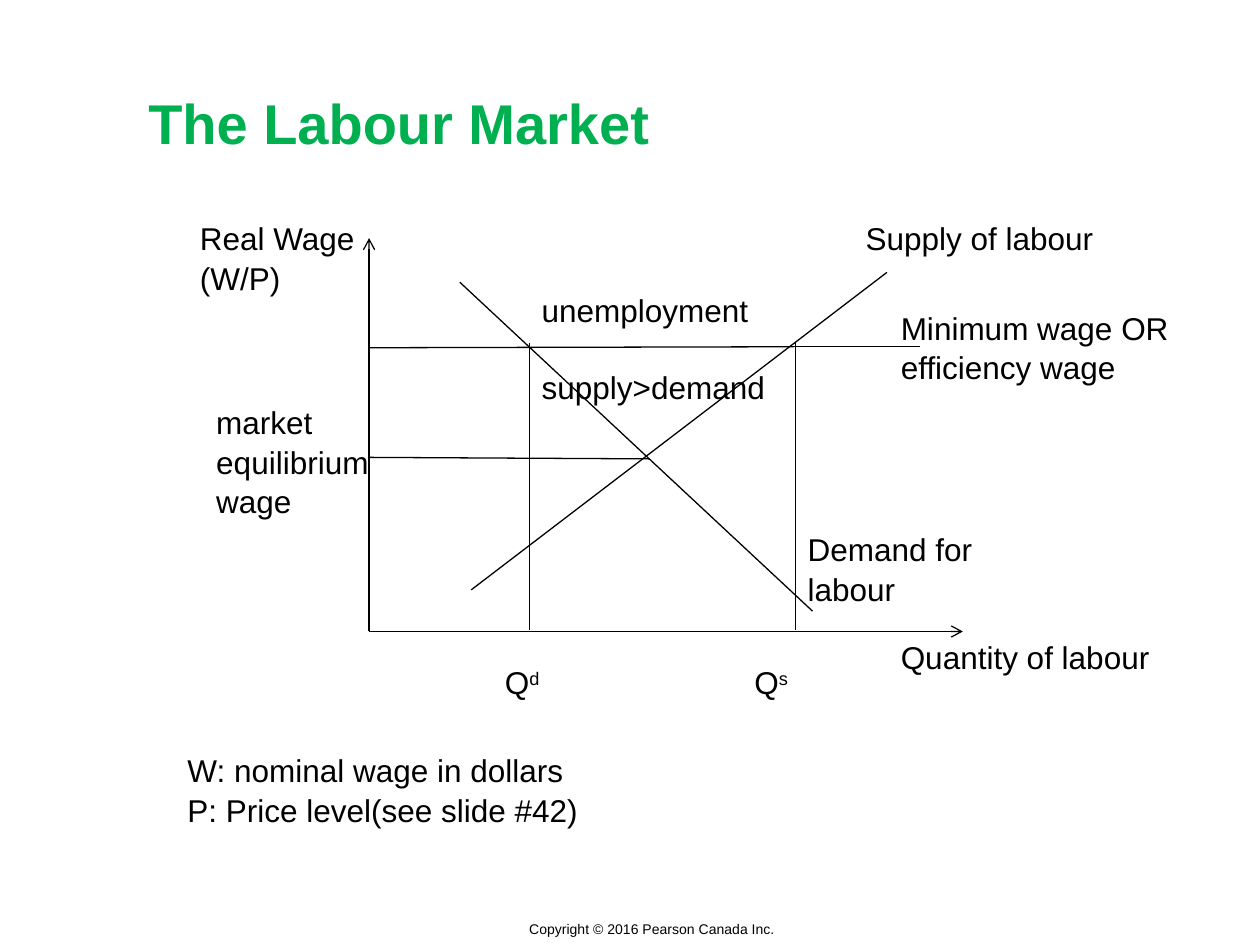
from pptx import Presentation
from pptx.util import Cm, Pt
from pptx.dml.color import RGBColor
from pptx.enum.shapes import MSO_CONNECTOR as Connector
from pptx.enum.text import MSO_ANCHOR as Anchor, PP_ALIGN as Align
from pptx.oxml.ns import qn
from lxml.etree import SubElement

COLORS = {"text": "000000", "title": "00B050", "line": "000000"}

# Text formats
BODY = {"size": Pt(18), "bold": False, "color": "text"}
TITLE = {"size": Pt(32), "bold": True, "color": "title"}
FOOTER = {"size": Pt(8), "bold": False, "color": "text"}

# Diagram coordinates in cm
AXIS_X, AXIS_Y = 7.44, 12.73
DEMAND_X, SUPPLY_X = 10.67, 16.03
WAGE_Y, MARKET_Y = 6.99, 9.22

# Labels: paragraphs, left, top, width, height; "^" starts a superscript
LABELS = [
    (["W: nominal wage in dollars", "P: Price level(see slide #42)"], 3.53, 14.99, 14.91, 1.78),
    (["Real Wage (W/P)"], 3.78, 4.27, 5.13, 1.78),
    (["market equilibrium wage"], 4.11, 7.98, 4.47, 2.54),
    (["unemployment", "supply>demand"], DEMAND_X, 5.72, 5.69, 2.54),
    (["Supply of labour"], 17.2, 4.27, 5.97, 1.02),
    (["Minimum wage OR efficiency wage"], 17.91, 6.07, 6.53, 1.78),
    (["Demand for labour"], SUPPLY_X, 10.54, 5.74, 1.78),
    (["Quantity of labour"], 17.91, 12.7, 6.1, 1.02),
    (["Q^d"], 9.93, 13.21, 2.13, 1.02),
    (["Q^s"], 14.96, 13.21, 2.13, 1.02),
]
PARAGRAPH_GAPS = {"supply>demand": Pt(21.6)}

# Lines: start x, start y, end x, end y, arrow at the end
LINES = [
    (AXIS_X, AXIS_Y, AXIS_X, 4.8, True),
    (AXIS_X, AXIS_Y, 19.41, AXIS_Y, True),
    (DEMAND_X, 12.7, DEMAND_X, 6.91, False),
    (SUPPLY_X, 12.7, SUPPLY_X, 6.91, False),
    (16, WAGE_Y, AXIS_X, 7.01, False),
    (15.95, WAGE_Y, 18.54, WAGE_Y, False),
    (AXIS_X, MARKET_Y, 13.08, 9.25, False),
    (16.38, 12.32, 9.27, 5.69, False),
    (9.5, 11.89, 17.88, 5.49, False),
]


def color(name):
    return RGBColor.from_string(COLORS[name])


def add_text(page, paragraphs, left, top, width, height, style,
             anchor=Anchor.TOP, align=Align.LEFT, spacing=1.0):
    box = page.shapes.add_textbox(Cm(left), Cm(top), Cm(width), Cm(height))
    frame = box.text_frame
    frame.word_wrap = True
    frame.vertical_anchor = anchor
    for index, text in enumerate(paragraphs):
        para = frame.paragraphs[0] if index == 0 else frame.add_paragraph()
        para.alignment = align
        para.line_spacing = spacing
        if text in PARAGRAPH_GAPS:
            para.space_before = PARAGRAPH_GAPS[text]
        for part, piece in enumerate(text.split("^")):
            span = para.add_run()
            span.text = piece
            span.font.name = "Arial"
            for key, value in style.items():
                if key == "color":
                    span.font.color.rgb = color(value)
                else:
                    setattr(span.font, key, value)
            if part:
                span.font._element.set("baseline", "30000")


def add_line(page, x1, y1, x2, y2, arrow):
    line = page.shapes.add_connector(Connector.STRAIGHT, Cm(x1), Cm(y1), Cm(x2), Cm(y2))
    line.line.color.rgb = color("line")
    line.line.width = Pt(0.75)
    if arrow:
        SubElement(line.line._get_or_add_ln(), qn("a:tailEnd"), type="arrow")
    SubElement(line._element.spPr, qn("a:effectLst"))


def main():
    deck = Presentation()
    deck.slide_width, deck.slide_height = Cm(25.4), Cm(19.05)
    page = deck.slides.add_slide(deck.slide_layouts[6])

    # Footer and title
    add_text(page, ["Copyright © 2016 Pearson Canada Inc."], 9.55, 18.44, 7.19, 0.61,
             FOOTER, align=Align.CENTER)
    add_text(page, ["The Labour Market"], 2.74, 0.3, 21.39, 4.32, TITLE, anchor=Anchor.MIDDLE)

    # Diagram and its labels
    for line in LINES:
        add_line(page, *line)
    for label in LABELS:
        add_text(page, *label, BODY, spacing=1.04)

    deck.save("out.pptx")


if __name__ == "__main__":
    main()
